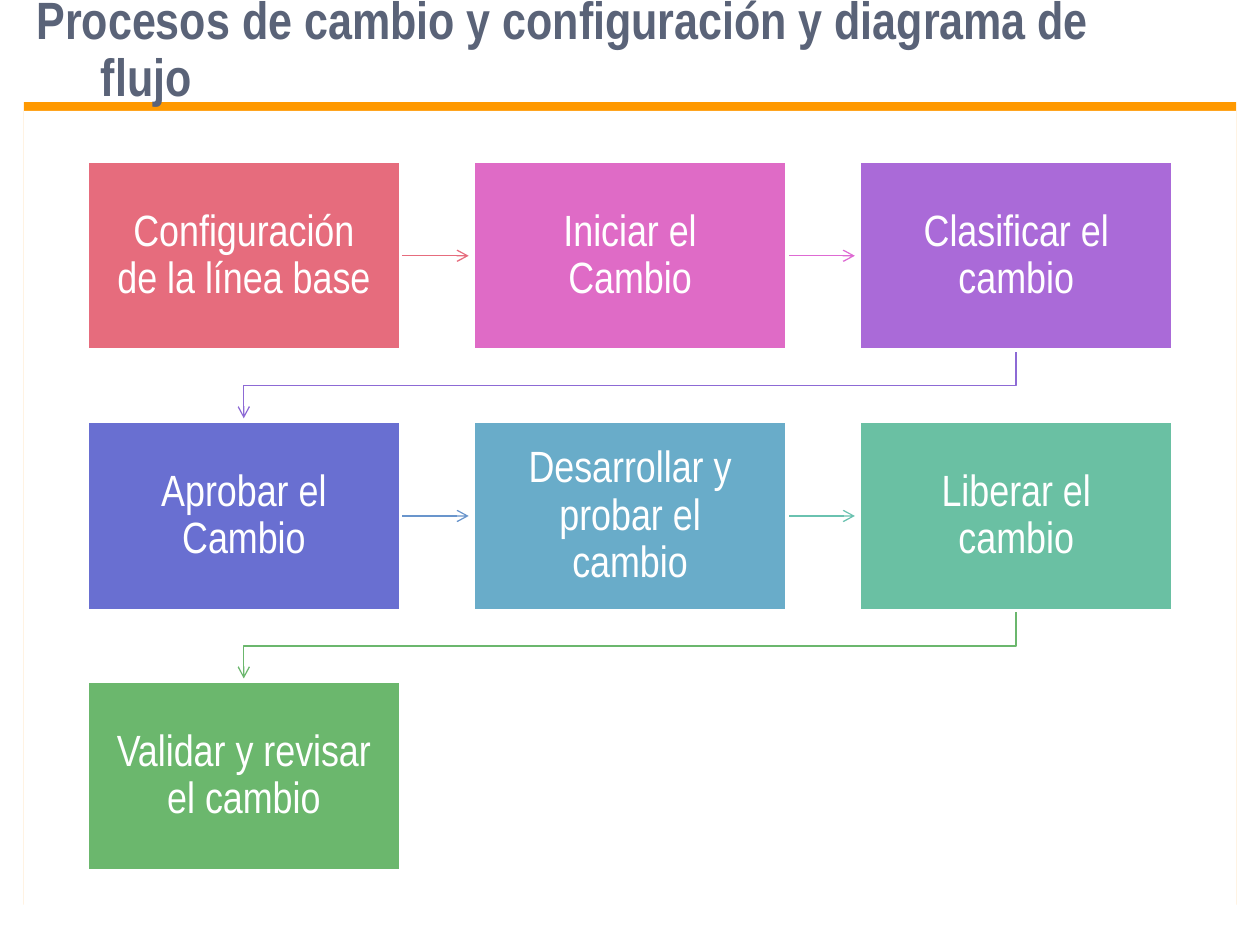
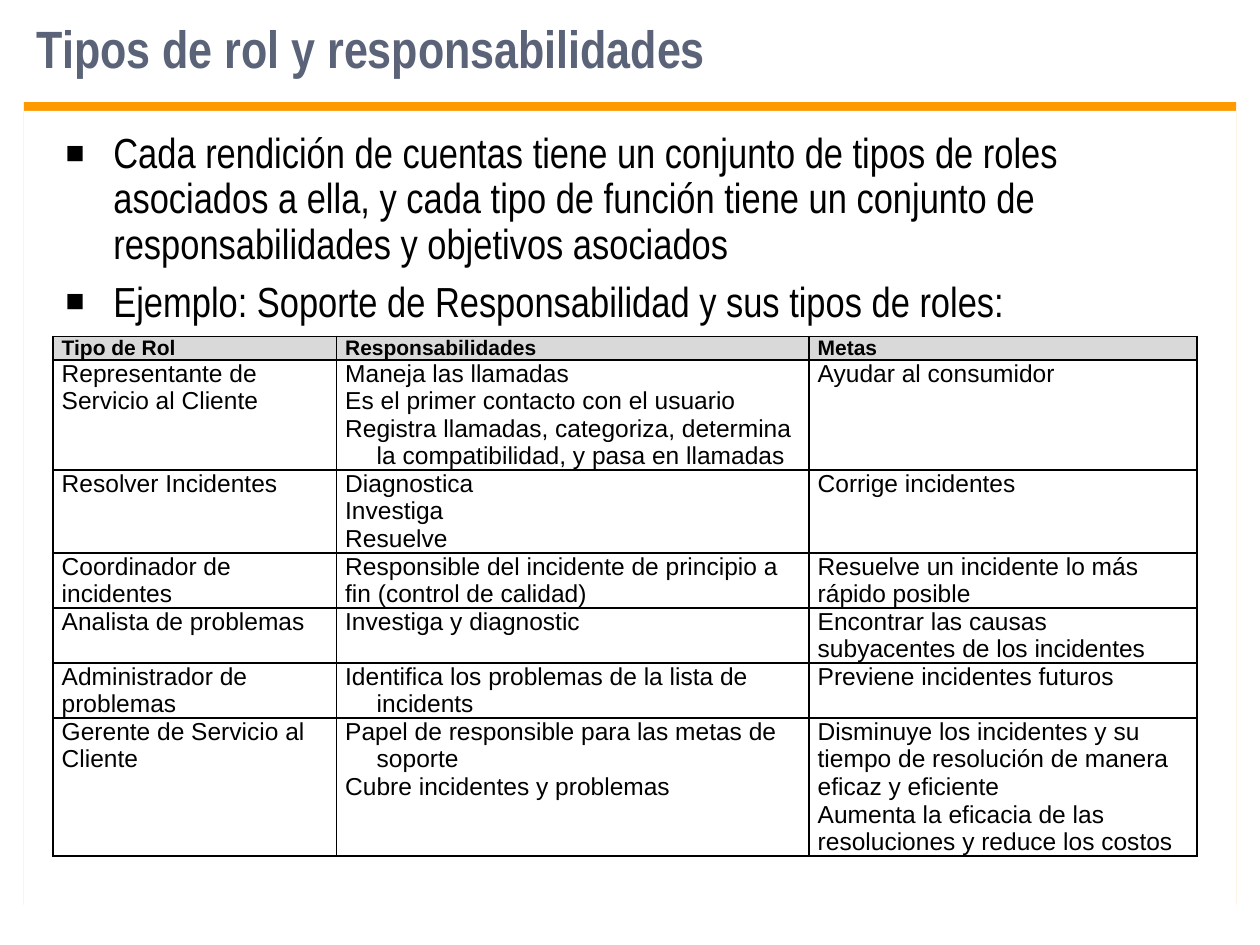
from dataclasses import dataclass

from lxml.etree import SubElement
from pptx import Presentation
from pptx.dml.color import RGBColor
from pptx.enum.shapes import MSO_CONNECTOR as Connector, MSO_SHAPE as Preset
from pptx.enum.text import MSO_ANCHOR as Anchor, MSO_AUTO_SIZE as AutoSize, PP_ALIGN as Align
from pptx.oxml import parse_xml
from pptx.oxml.ns import nsdecls, qn
from pptx.util import Inches, Pt

NARROW, PLAIN = "Arial Narrow", "Arial"
TITLE, ORANGE, BLACK, WHITE, GREY = "5A6378", "FF9900", "000000", "FFFFFF", "D9D9D9"

# Process grid
COLUMNS = 3
GRID_LEFT, GRID_TOP = 0.69, 1.28
STEP_X, STEP_Y = 6.13 / 2, 4.13 / 2
BOX_WIDTH, BOX_HEIGHT = 2.49, 1.5
ARROW_LENGTH = 0.54

# Role table: rows grow from this least height per line to fit their text
LINE_HEIGHT = 0.2
COLUMN_WIDTHS = (2.25, 3.75, 3.08)
HEADINGS = ("Tipo de Rol", "Responsabilidades", "Metas")


@dataclass(frozen=True)
class Step:
    label: str
    fill: str
    arrow: str = ""  # colour of the arrow to the next step


@dataclass(frozen=True)
class Role:
    name: str
    duties: tuple[str, ...]
    goals: tuple[str, ...]
    lines: int
    hanging: bool = True


STEPS = (
    Step("Configuración de la línea base", "E66C7D", "E66C7D"),
    Step("Iniciar el Cambio", "DF6BC6", "DE6AD3"),
    Step("Clasificar el cambio", "AA6AD8", "8D6AD5"),
    Step("Aprobar el Cambio", "696FD1", "6995CC"),
    Step("Desarrollar y probar el cambio", "69ACC9", "6AC2B0"),
    Step("Liberar el cambio", "6AC0A3", "6BB76D"),
    Step("Validar y revisar el cambio", "6BB76D"),
)

BULLETS = (
    "Cada rendición de cuentas tiene un conjunto de tipos de roles asociados a ella, "
    "y cada tipo de función tiene un conjunto de responsabilidades y objetivos asociados",
    "Ejemplo: Soporte de Responsabilidad y sus tipos de roles:",
)

ROLES = (
    Role("Representante de Servicio al Cliente",
         ("Maneja las llamadas", "Es el primer contacto con el usuario",
          "Registra llamadas, categoriza, determina la compatibilidad, y pasa en llamadas"),
         ("Ayudar al consumidor",), 4),
    Role("Resolver Incidentes", ("Diagnostica", "Investiga", "Resuelve"),
         ("Corrige incidentes",), 3),
    Role("Coordinador de incidentes",
         ("Responsible del incidente de principio a fin (control de calidad)",),
         ("Resuelve un incidente lo más rápido posible",), 2, hanging=False),
    Role("Analista de problemas", ("Investiga y diagnostic",),
         ("Encontrar las causas subyacentes de los incidentes",), 2),
    Role("Administrador de problemas",
         ("Identifica los problemas de la lista de incidents",),
         ("Previene incidentes futuros",), 2),
    Role("Gerente de Servicio al Cliente",
         ("Papel de responsible para las metas de soporte", "Cubre incidentes y problemas"),
         ("Disminuye los incidentes y su tiempo de resolución de manera eficaz y eficiente",
          "Aumenta la eficacia de las resoluciones y reduce los costos"), 5),
)


def rgb(value: str) -> RGBColor:
    return RGBColor.from_string(value)


def set_font(para, name: str, size: float, color: str, bold: bool = False) -> None:
    font = para.font
    font.name, font.size, font.bold = name, Pt(size), bold
    font.color.rgb = rgb(color)


def set_hanging(para, indent: float) -> None:
    properties = para._p.get_or_add_pPr()
    properties.set("marL", str(Inches(indent)))
    properties.set("indent", str(-Inches(indent)))


def place(shape, left: float, top: float, width: float, height: float) -> None:
    shape.left, shape.top = Inches(left), Inches(top)
    shape.width, shape.height = Inches(width), Inches(height)


def add_rectangle(page, left: float, top: float, width: float, height: float, color: str):
    box = page.shapes.add_shape(
        Preset.RECTANGLE, Inches(left), Inches(top), Inches(width), Inches(height))
    box.shadow.inherit = False
    box.fill.solid()
    box.fill.fore_color.rgb = rgb(color)
    return box


def add_panel(page):
    """White content panel whose upward shadow forms the orange band."""
    panel = add_rectangle(page, 0.19, 0.88, 9.62, 6.37, WHITE)
    panel.line.fill.background()
    effects = panel.element.spPr.find(qn("a:effectLst"))
    shadow = SubElement(effects, qn("a:outerShdw"), blurRad="0", dist=str(Pt(5)),
                        dir=str(270 * 60000), algn="ctr", rotWithShape="0")
    SubElement(shadow, qn("a:srgbClr"), val=ORANGE)
    return panel


def add_page(deck, layout: int, title: str, top: float, height: float):
    """Add a page with the shared title style and banded panel."""
    page = deck.slides.add_slide(deck.slide_layouts[layout])
    heading = page.shapes.title
    place(heading, 0.19, top, 9.31, height)
    frame = heading.text_frame
    frame.text, frame.word_wrap = title, True
    frame.auto_size, frame.vertical_anchor = AutoSize.NONE, Anchor.MIDDLE
    para = frame.paragraphs[0]
    para.alignment, para.line_spacing, para.space_before = Align.LEFT, 0.9, Pt(0)
    set_hanging(para, 0.51)
    set_font(para, NARROW, 30, TITLE, bold=True)
    heading.element.addprevious(add_panel(page).element)
    return page


def box_corner(index: int) -> tuple[float, float]:
    row, column = divmod(index, COLUMNS)
    return GRID_LEFT + column * STEP_X, GRID_TOP + row * STEP_Y


def style_arrow(arrow, color: str) -> None:
    arrow.line.color.rgb = rgb(color)
    arrow.line.width = Pt(0.75)
    outline = arrow.line._get_or_add_ln()
    SubElement(outline, qn("a:tailEnd"), type="arrow")


def add_arrow(page, index: int, color: str) -> None:
    """Point to the next box: straight in a row, bent between rows."""
    left, top = box_corner(index)
    if (index + 1) % COLUMNS:
        start, middle = left + BOX_WIDTH, top + BOX_HEIGHT / 2
        arrow = page.shapes.add_connector(
            Connector.STRAIGHT, Inches(start), Inches(middle),
            Inches(start + ARROW_LENGTH), Inches(middle))
        SubElement(arrow.element.spPr, qn("a:effectLst"))
        style_arrow(arrow, color)
        return
    start, end = left + BOX_WIDTH / 2, GRID_LEFT + BOX_WIDTH / 2
    bottom = top + BOX_HEIGHT
    bend = (bottom + top + STEP_Y) / 2
    points = ((start, bend), (end, bend), (end, bottom + ARROW_LENGTH))
    builder = page.shapes.build_freeform(Inches(start), Inches(bottom))
    builder.add_line_segments([(Inches(x), Inches(y)) for x, y in points], close=False)
    arrow = builder.convert_to_shape()
    arrow.fill.background()
    arrow.shadow.inherit = False
    style_arrow(arrow, color)


def add_step(page, index: int, step: Step) -> None:
    box = add_rectangle(page, *box_corner(index), BOX_WIDTH, BOX_HEIGHT, step.fill)
    box.line.color.rgb = rgb(WHITE)
    box.line.width = Pt(2)
    frame = box.text_frame
    frame.text, frame.word_wrap, frame.vertical_anchor = step.label, True, Anchor.MIDDLE
    frame.margin_left = frame.margin_right = Inches(0.19)
    frame.margin_top = frame.margin_bottom = Inches(0.19)
    para = frame.paragraphs[0]
    para.alignment, para.line_spacing = Align.CENTER, 0.9
    set_font(para, NARROW, 25, WHITE)


def fill_bullets(body) -> None:
    place(body, 0.42, 1, 9.25, 1.68)
    frame = body.text_frame
    frame.text, frame.word_wrap, frame.auto_size = "\n".join(BULLETS), True, AutoSize.NONE
    for number, para in enumerate(frame.paragraphs):
        para.line_spacing, para.space_before = 0.9, Pt(7.2 if number else 0)
        set_hanging(para, 0.38)
        properties = para._p.get_or_add_pPr()
        color = SubElement(properties, qn("a:buClr"))
        SubElement(color, qn("a:srgbClr"), val=BLACK)
        SubElement(properties, qn("a:buSzPct"), val="75000")
        SubElement(properties, qn("a:buFont"), typeface=PLAIN)
        SubElement(properties, qn("a:buChar"), char="■")
        set_font(para, NARROW, 24, BLACK)


def fill_cell(cell, texts: tuple[str, ...], header: bool = False, hanging: bool = False) -> None:
    cell.margin_left = cell.margin_right = Inches(0.07)
    cell.margin_top = cell.margin_bottom = 0
    properties = cell._tc.get_or_add_tcPr()
    for side in "LRTB":
        properties.append(parse_xml(
            f'<a:ln{side} {nsdecls("a")} w="{Pt(1)}"><a:solidFill>'
            f'<a:srgbClr val="{BLACK}"/></a:solidFill></a:ln{side}>'))
    if header:
        cell.fill.solid()
        cell.fill.fore_color.rgb = rgb(GREY)
    else:
        cell.fill.background()
    cell.text = "\n".join(texts)
    for para in cell.text_frame.paragraphs:
        if hanging:
            set_hanging(para, 0.25)
        set_font(para, PLAIN, 12 if header else 14, BLACK, bold=header)


def add_role_table(page) -> None:
    heights = [0.18] + [role.lines * LINE_HEIGHT for role in ROLES]
    table = page.shapes.add_table(
        len(heights), len(HEADINGS), Inches(0.42), Inches(2.67),
        Inches(sum(COLUMN_WIDTHS)), Inches(sum(heights))).table
    table.horz_banding = False
    for column, width in zip(table.columns, COLUMN_WIDTHS):
        column.width = Inches(width)
    for row, height in zip(table.rows, heights):
        row.height = Inches(height)
    for column, heading in enumerate(HEADINGS):
        fill_cell(table.cell(0, column), (heading,), header=True)
    for row, role in enumerate(ROLES, start=1):
        fill_cell(table.cell(row, 0), (role.name,))
        fill_cell(table.cell(row, 1), role.duties, hanging=role.hanging)
        fill_cell(table.cell(row, 2), role.goals)


def main() -> None:
    deck = Presentation()
    deck.slide_width, deck.slide_height = Inches(10), Inches(7.5)

    # Change process
    page = add_page(deck, 5, "Procesos de cambio y configuración y diagrama de flujo", -0.1, 1.01)
    for index, step in enumerate(STEPS):
        if step.arrow:
            add_arrow(page, index, step.arrow)
        add_step(page, index, step)

    # Roles and responsibilities
    page = add_page(deck, 1, "Tipos de rol y responsabilidades", 0.13, 0.55)
    fill_bullets(page.placeholders[1])
    add_role_table(page)

    deck.save("out.pptx")


if __name__ == "__main__":
    main()
